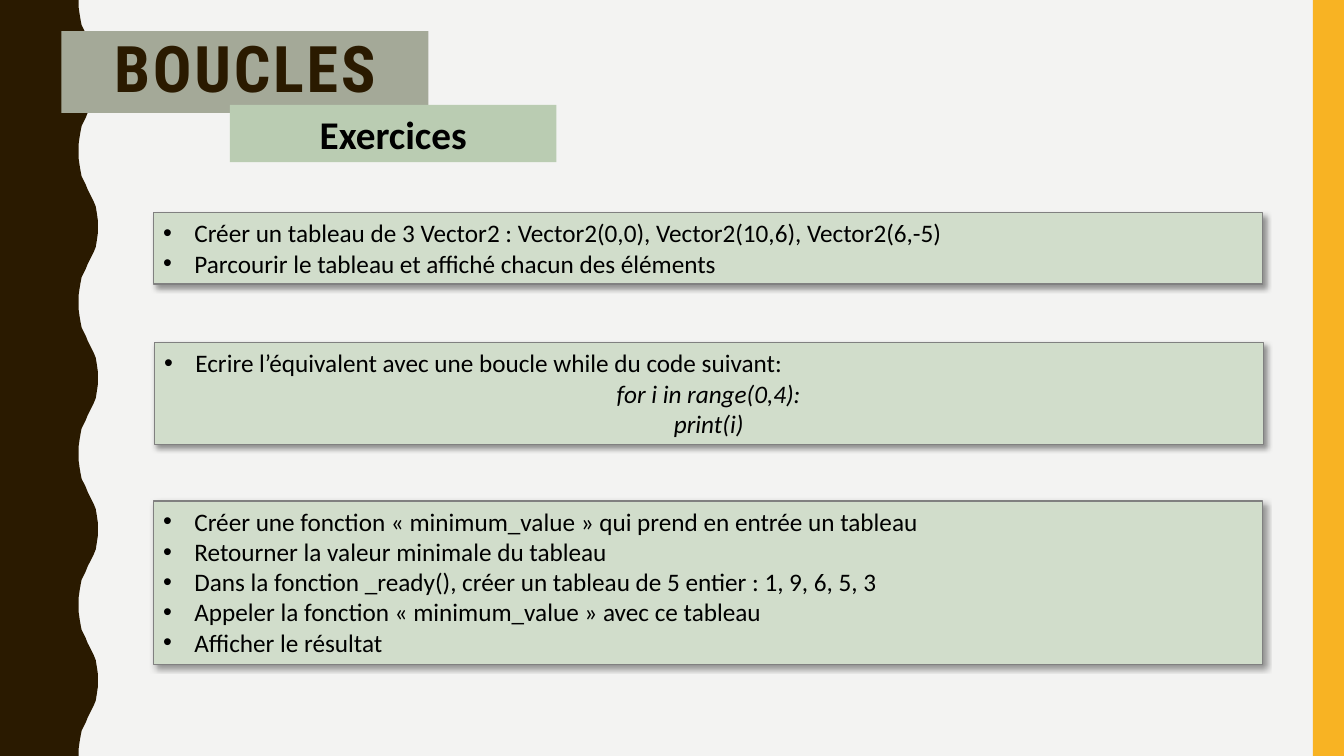
from dataclasses import dataclass

from lxml.etree import SubElement
from pptx import Presentation
from pptx.dml.color import RGBColor
from pptx.enum.shapes import MSO_SHAPE
from pptx.enum.text import MSO_ANCHOR, MSO_AUTO_SIZE, PP_ALIGN
from pptx.oxml.ns import qn
from pptx.util import Inches, Pt


@dataclass(frozen=True)
class Theme:
    """Colours, fonts and type sizes of the slide."""
    background: str = "F3F3F2"
    brown: str = "2A1A00"
    gold: str = "F8B323"
    title_fill: str = "A4A998"
    subtitle_fill: str = "BACCB2"
    card_fill: str = "D1DDCB"
    card_line: str = "808080"
    black: str = "000000"
    title_font: str = "Roboto Condensed"
    body_font: str = "Calibri"
    title_size: float = 45.9
    subtitle_size: float = 28
    body_size: float = 18


THEME = Theme()
SLIDE_WIDTH, SLIDE_HEIGHT = 13.33, 7.5
WAVE_HALF = [
    (0.78, 0), (0.78, 0.07), (0.79, 0.14), (0.8, 0.2), (0.81, 0.25),
    (0.83, 0.29), (0.85, 0.33), (0.87, 0.38), (0.89, 0.42), (0.91, 0.46),
    (0.93, 0.5), (0.95, 0.55), (0.96, 0.61), (0.97, 0.68), (0.97, 0.75),
]
WAVE_PERIOD = 1.5
EXERCISES = [
    ((1.52, 2.11, 11, 0.71), [
        "Créer un tableau de 3 Vector2 : Vector2(0,0), Vector2(10,6), Vector2(6,-5)",
        "Parcourir le tableau et affiché chacun des éléments",
    ], []),
    ((1.53, 3.4, 11, 1.01), [
        "Ecrire l’équivalent avec une boucle while du code suivant:",
    ], ["for i in range(0,4):", "print(i)"]),
    ((1.52, 4.97, 11, 1.62), [
        "Créer une fonction « minimum_value » qui prend en entrée un tableau",
        "Retourner la valeur minimale du tableau",
        "Dans la fonction _ready(), créer un tableau de 5 entier : 1, 9, 6, 5, 3",
        "Appeler la fonction « minimum_value » avec ce tableau",
        "Afficher le résultat",
    ], []),
]


def paint(shape, color):
    """Give a shape a plain fill with no line and no shadow."""
    shape.shadow.inherit = False
    shape.fill.solid()
    shape.fill.fore_color.rgb = RGBColor.from_string(color)
    shape.line.fill.background()


def add_box(slide, box, color):
    """Add a plain rectangle in the given box."""
    shape = slide.shapes.add_shape(MSO_SHAPE.RECTANGLE, *map(Inches, box))
    paint(shape, color)
    return shape


def write(paragraph, text, size=THEME.body_size, font=THEME.body_font,
          color=THEME.black, bold=False, italic=False, align=PP_ALIGN.LEFT,
          bullet=False, tracking=0):
    """Write formatted text into a paragraph."""
    paragraph.alignment = align
    run = paragraph.add_run()
    run.text = text
    run.font.size = Pt(size)
    run.font.name = font
    run.font.bold = bold
    run.font.italic = italic
    run.font.color.rgb = RGBColor.from_string(color)
    if tracking:
        run.font._element.set("spc", str(tracking * 100))
    if bullet:
        properties = paragraph._p.get_or_add_pPr()
        properties.set("marL", str(Inches(0.31)))
        properties.set("indent", str(-Inches(0.31)))
        SubElement(properties, qn("a:buFont"), typeface="Arial")
        SubElement(properties, qn("a:buChar"), char="•")


def add_shadow(shape):
    """Add a soft shadow towards the lower right."""
    effects = shape._element.spPr.find(qn("a:effectLst"))
    shadow = SubElement(effects, qn("a:outerShdw"), blurRad=str(Pt(4)),
                        dist=str(Pt(3)), dir=str(45 * 60000), algn="tl",
                        rotWithShape="0")
    color = SubElement(shadow, qn("a:srgbClr"), val=THEME.black)
    SubElement(color, qn("a:alpha"), val="40000")


def add_wave(slide, height):
    """Draw the brown wavy band along the left edge."""
    period = WAVE_HALF + [(x, WAVE_PERIOD - y) for x, y in WAVE_HALF[-2:0:-1]]
    edge = [(x, y + turn * WAVE_PERIOD)
            for turn in range(round(height / WAVE_PERIOD)) for x, y in period]
    points = edge + [(WAVE_HALF[0][0], height), (0, height)]
    builder = slide.shapes.build_freeform(0, 0)
    builder.add_line_segments([(Inches(x), Inches(y)) for x, y in points])
    paint(builder.convert_to_shape(), THEME.brown)


def add_title(slide, box, text):
    """Place the title placeholder in front of the wavy band."""
    title = slide.shapes.title
    title.left, title.top, title.width, title.height = map(Inches, box)
    paint(title, THEME.title_fill)
    title.element.getparent().append(title.element)
    frame = title.text_frame
    frame.auto_size = MSO_AUTO_SIZE.NONE
    frame.vertical_anchor = MSO_ANCHOR.MIDDLE
    paragraph = frame.paragraphs[0]
    paragraph.line_spacing = 0.9
    write(paragraph, text, size=THEME.title_size, font=THEME.title_font,
          color=THEME.brown, bold=True, align=PP_ALIGN.CENTER, tracking=2)


def add_subtitle(slide, box, text):
    """Add the subtitle band."""
    frame = add_box(slide, box, THEME.subtitle_fill).text_frame
    frame.auto_size = MSO_AUTO_SIZE.SHAPE_TO_FIT_TEXT
    write(frame.paragraphs[0], text, size=THEME.subtitle_size, bold=True,
          align=PP_ALIGN.CENTER)


def add_exercise(slide, box, tasks, code):
    """Add a card with bulleted tasks and centred lines of code."""
    card = add_box(slide, box, THEME.card_fill)
    card.line.color.rgb = RGBColor.from_string(THEME.card_line)
    card.line.width = Pt(1)
    add_shadow(card)
    frame = card.text_frame
    frame.word_wrap = True
    frame.auto_size = MSO_AUTO_SIZE.SHAPE_TO_FIT_TEXT
    frame.vertical_anchor = MSO_ANCHOR.TOP
    formats = [(task, {"bullet": True}) for task in tasks]
    formats += [(line, {"italic": True, "align": PP_ALIGN.CENTER}) for line in code]
    for index, (text, options) in enumerate(formats):
        paragraph = frame.add_paragraph() if index else frame.paragraphs[0]
        write(paragraph, text, **options)


def main():
    """Build the slide and save it."""
    presentation = Presentation()
    presentation.slide_width = Inches(SLIDE_WIDTH)
    presentation.slide_height = Inches(SLIDE_HEIGHT)
    slide = presentation.slides.add_slide(presentation.slide_layouts.get_by_name("Title Only"))
    slide.background.fill.solid()
    slide.background.fill.fore_color.rgb = RGBColor.from_string(THEME.background)
    add_wave(slide, SLIDE_HEIGHT)
    add_box(slide, (13.02, 0, 0.31, SLIDE_HEIGHT), THEME.gold)
    add_title(slide, (0.61, 0.31, 3.64, 0.81), "BOUCLES")
    add_subtitle(slide, (2.28, 1.04, 3.24, 0.57), "Exercices")
    for box, tasks, code in EXERCISES:
        add_exercise(slide, box, tasks, code)
    presentation.save("out.pptx")


if __name__ == "__main__":
    main()
